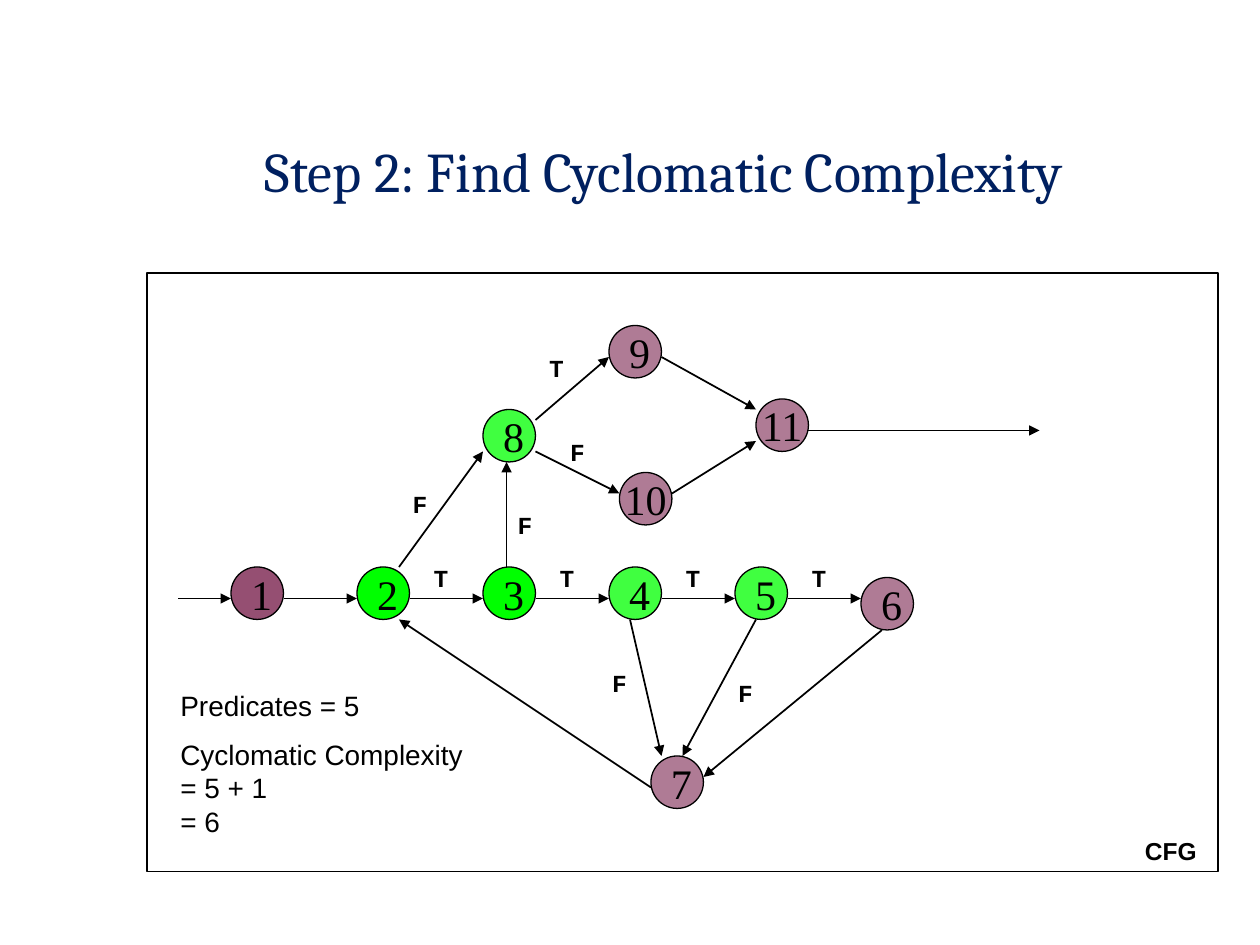
from lxml import etree
from pptx import Presentation
from pptx.dml.color import RGBColor
from pptx.enum import shapes, text
from pptx.oxml.ns import qn
from pptx.util import Pt

COLOURS = {"ink": "000000", "title": "002060", "plain": "954F72", "predicate": "00FF00"}
NODE_SIZE = 30
LEFT, CENTRE = text.PP_ALIGN.LEFT, text.PP_ALIGN.CENTER


def write(shape, paragraphs, size, font, colour="ink", bold=False, align=CENTRE,
          wrap=True, grow=True, anchor=text.MSO_ANCHOR.TOP, gap=0, spacing=None):
    """Fill a shape with formatted paragraphs; gap is the space between them."""
    frame = shape.text_frame
    frame.word_wrap = wrap
    frame.auto_size = (text.MSO_AUTO_SIZE.SHAPE_TO_FIT_TEXT if grow
                       else text.MSO_AUTO_SIZE.NONE)
    frame.vertical_anchor = anchor
    for number, content in enumerate(paragraphs):
        paragraph = frame.add_paragraph() if number else frame.paragraphs[0]
        paragraph.text = content
        paragraph.alignment = align
        if number:
            paragraph.space_before = Pt(gap)
        if spacing:
            paragraph.line_spacing = spacing
        for line_break in paragraph._p.findall(qn("a:br")):
            etree.SubElement(line_break, qn("a:rPr"), sz=str(size * 100))
        for run in paragraph.runs:
            run.font.size = Pt(size)
            run.font.name = font
            run.font.bold = bold
            run.font.color.rgb = RGBColor.from_string(COLOURS[colour])


def outline(line, width):
    line.color.rgb = RGBColor.from_string(COLOURS["ink"])
    line.width = Pt(width)


prs = Presentation()
prs.slide_width, prs.slide_height = Pt(720), Pt(540)
slide = prs.slides.add_slide(prs.slide_layouts[6])

title = slide.shapes.add_textbox(Pt(119.5), Pt(80), Pt(520), Pt(43))
frame = title.text_frame
frame.margin_left = frame.margin_right = Pt(5)
frame.margin_top = frame.margin_bottom = Pt(2.5)
write(title, ["Step 2: Find Cyclomatic Complexity"], 32, "Cambria", "title",
      wrap=False, spacing=0.9)

# Flow graph nodes: name, left, top, kind, opacity in percent
nodes = [
    ("1", 132, 324, "plain", 100),
    ("2", 204, 324, "predicate", 100),
    ("3", 276, 324, "predicate", 100),
    ("4", 348, 324, "predicate", 75),
    ("5", 420, 324, "predicate", 75),
    ("6", 492, 330, "plain", 75),
    ("7", 372, 432, "plain", 75),
    ("9", 348, 186, "plain", 75),
    ("8", 276, 234, "predicate", 75),
    ("10", 354, 270, "plain", 75),
    ("11", 432, 228, "plain", 75),
]
for name, left, top, kind, opacity in nodes:
    node = slide.shapes.add_shape(shapes.MSO_SHAPE.OVAL, Pt(left), Pt(top),
                                  Pt(NODE_SIZE), Pt(NODE_SIZE))
    node.shadow.inherit = False
    node.fill.solid()
    node.fill.fore_color.rgb = RGBColor.from_string(COLOURS[kind])
    if opacity < 100:
        fill_colour = node._element.spPr.find(qn("a:solidFill"))[0]
        etree.SubElement(fill_colour, qn("a:alpha"), val=str(opacity * 1000))
    outline(node.line, 0.75)
    write(node, [name], 24, "Times New Roman", wrap=False, grow=False,
          align=CENTRE if len(name) > 1 else LEFT, anchor=text.MSO_ANCHOR.MIDDLE)

# Arrows: the row 1 to 6 first, then the branches
row_edges = [(left + NODE_SIZE, 342, left + 72, 342) for left in range(132, 421, 72)]
branch_edges = [
    (102, 342, 132, 342),      # entry to 1
    (504, 360, 402, 444),      # 6 to 7
    (432, 354, 390, 432),      # 5 to 7
    (360, 354, 378, 432),      # 4 to 7
    (372, 450, 228, 354),      # 7 to 2
    (228, 324, 276, 258),      # 2 to 8
    (289.5, 324, 289.5, 264),  # 3 to 8
    (306, 240, 348, 204),      # 8 to 9
    (306, 258, 354, 282),      # 8 to 10
    (378, 204, 432, 234),      # 9 to 11
    (384, 282, 432, 252),      # 10 to 11
    (462, 246, 594, 246),      # 11 to exit
]
for ends in row_edges + branch_edges:
    edge = slide.shapes.add_connector(shapes.MSO_CONNECTOR.STRAIGHT,
                                      *(Pt(value) for value in ends))
    outline(edge.line, 1)
    properties = edge._element.spPr
    etree.SubElement(properties.find(qn("a:ln")), qn("a:tailEnd"), type="triangle")
    etree.SubElement(properties, qn("a:effectLst"))

border = slide.shapes.add_shape(shapes.MSO_SHAPE.RECTANGLE, Pt(84), Pt(156), Pt(612), Pt(342))
border.shadow.inherit = False
border.fill.background()
outline(border.line, 1)

branch_labels = [("T", left, 318) for left in range(234, 451, 72)] + [
    ("T", 300, 198), ("F", 312, 246), ("F", 222, 276),
    ("F", 336, 378), ("F", 408, 384), ("F", 282, 288),
]
for outcome, left, top in branch_labels:
    label = slide.shapes.add_textbox(Pt(left), Pt(top), Pt(36), Pt(24))
    write(label, [outcome], 14, "Courier New", bold=True)

caption = slide.shapes.add_textbox(Pt(642), Pt(474), Pt(54), Pt(24))
write(caption, ["CFG"], 14, "Arial", bold=True)

result = slide.shapes.add_textbox(Pt(96), Pt(390), Pt(180), Pt(93.5))
write(result, ["Predicates = 5", "Cyclomatic Complexity\v= 5 + 1\v= 6"], 16, "Arial",
      align=LEFT, gap=8.5)

prs.save("out.pptx")
